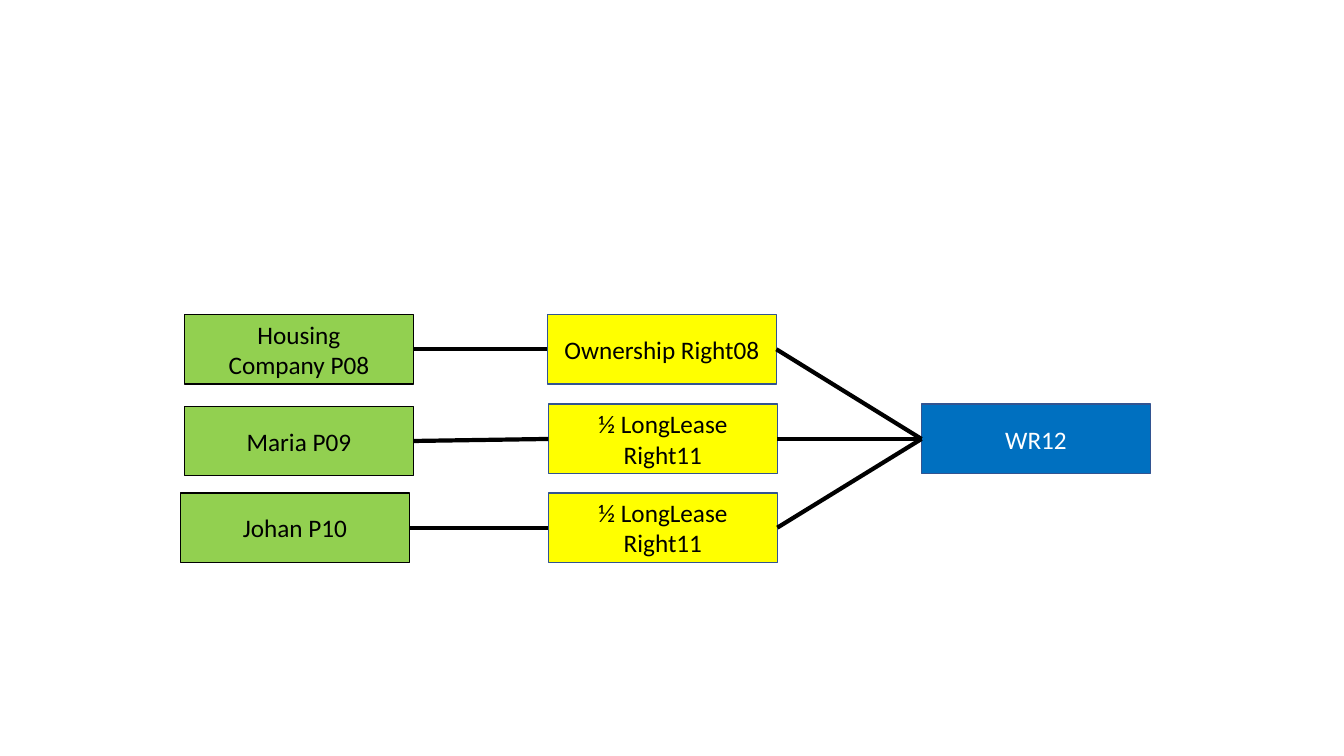
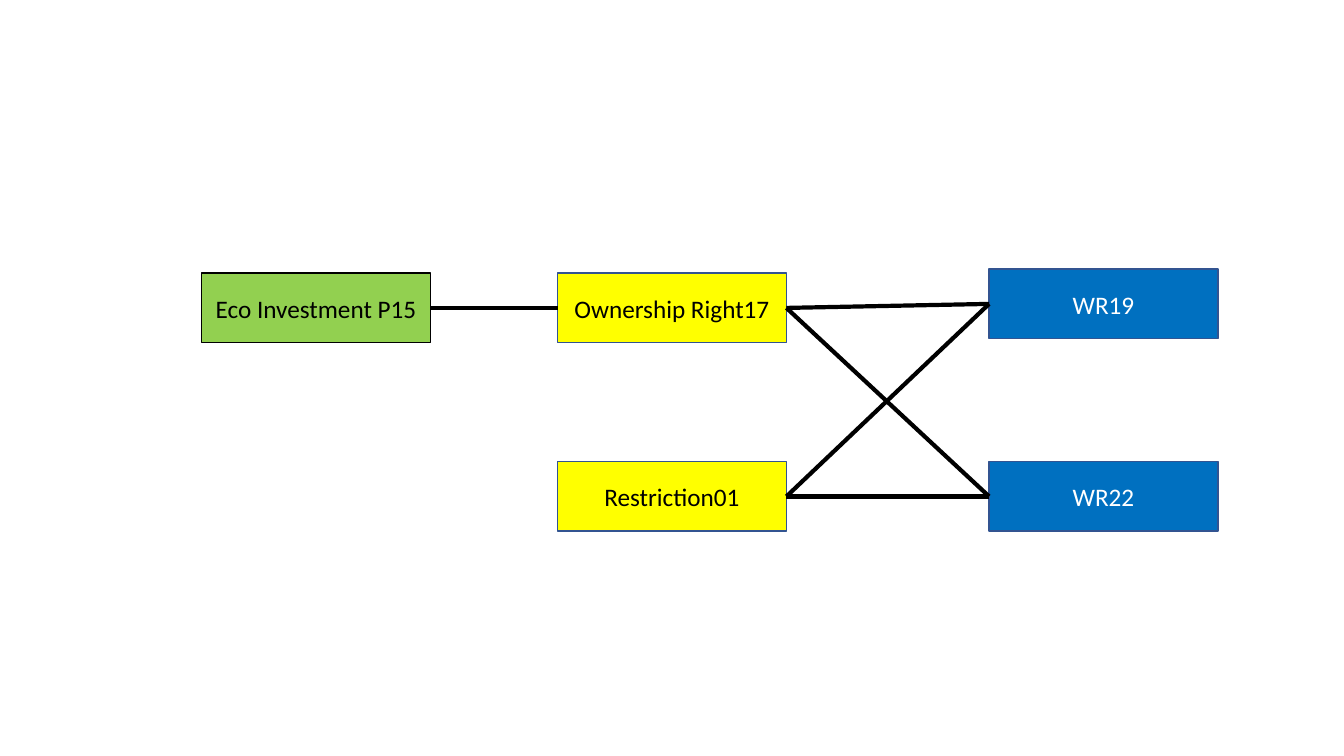
from dataclasses import dataclass

from pptx import Presentation
from pptx.dml.color import RGBColor
from pptx.enum.shapes import MSO_CONNECTOR, MSO_SHAPE
from pptx.enum.text import MSO_ANCHOR, PP_ALIGN
from pptx.oxml.ns import qn
from pptx.util import Inches, Pt


@dataclass(frozen=True)
class BoxStyle:
    """Colours of one kind of box."""
    fill: str
    line: str
    text: str


@dataclass(frozen=True)
class Theme:
    """Colours, type and sizes shared by both slides."""
    party = BoxStyle("92D050", "000000", "000000")
    right = BoxStyle("FFFF00", "325491", "000000")
    water = BoxStyle("0070C0", "325491", "FFFFFF")
    link: str = "000000"
    font: str = "Calibri"
    text_size: int = 18
    box_line: int = 1
    link_line: int = 3
    box_width: float = 2.27
    box_height: float = 0.69


THEME = Theme()
LEFT_SITE, RIGHT_SITE = 1, 3

# Each box: name, style, left, top, label. Each link: from name, to name.
DIAGRAMS = [
    {
        "boxes": [
            ("company", THEME.party, 1.83, 3.12, "Housing\nCompany P08"),
            ("maria", THEME.party, 1.83, 4.03, "Maria P09"),
            ("johan", THEME.party, 1.79, 4.89, "Johan P10"),
            ("ownership", THEME.right, 5.43, 3.12, "Ownership Right08"),
            ("maria lease", THEME.right, 5.44, 4.01, "½ LongLease Right11"),
            ("johan lease", THEME.right, 5.44, 4.89, "½ LongLease Right11"),
            ("WR12", THEME.water, 9.14, 4.01, "WR12"),
        ],
        "links": [
            ("company", "ownership"),
            ("maria", "maria lease"),
            ("johan", "johan lease"),
            ("ownership", "WR12"),
            ("maria lease", "WR12"),
            ("johan lease", "WR12"),
        ],
    },
    {
        "boxes": [
            ("investor", THEME.party, 2, 2.71, "Eco Investment P15"),
            ("ownership", THEME.right, 5.53, 2.71, "Ownership Right17"),
            ("restriction", THEME.right, 5.53, 4.58, "Restriction01"),
            ("WR19", THEME.water, 9.81, 2.67, "WR19"),
            ("WR22", THEME.water, 9.81, 4.58, "WR22"),
        ],
        "links": [
            ("investor", "ownership"),
            ("ownership", "WR19"),
            ("ownership", "WR22"),
            ("restriction", "WR19"),
            ("restriction", "WR22"),
        ],
    },
]


def add_box(page, style, left, top, label):
    """Add a labelled rectangle and return it."""
    box = page.shapes.add_shape(
        MSO_SHAPE.RECTANGLE, Inches(left), Inches(top),
        Inches(THEME.box_width), Inches(THEME.box_height))
    box.shadow.inherit = False
    box.fill.solid()
    box.fill.fore_color.rgb = RGBColor.from_string(style.fill)
    box.line.color.rgb = RGBColor.from_string(style.line)
    box.line.width = Pt(THEME.box_line)
    frame = box.text_frame
    frame.word_wrap = True
    frame.vertical_anchor = MSO_ANCHOR.MIDDLE
    frame.text = label
    for para in frame.paragraphs:
        para.alignment = PP_ALIGN.CENTER
        para.font.name = THEME.font
        para.font.size = Pt(THEME.text_size)
        para.font.color.rgb = RGBColor.from_string(style.text)
    return box


def add_link(page, start, end):
    """Join the right side of one box to the left side of another."""
    link = page.shapes.add_connector(MSO_CONNECTOR.STRAIGHT, 0, 0, 0, 0)
    link.begin_connect(start, RIGHT_SITE)
    link.end_connect(end, LEFT_SITE)
    link.line.color.rgb = RGBColor.from_string(THEME.link)
    link.line.width = Pt(THEME.link_line)
    properties = link._element.spPr
    properties.append(properties.makeelement(qn("a:effectLst"), {}))


deck = Presentation()
deck.slide_width = Inches(13.33)
deck.slide_height = Inches(7.5)
blank_layout = deck.slide_layouts[6]

for diagram in DIAGRAMS:
    page = deck.slides.add_slide(blank_layout)
    boxes = {}
    for name, style, left, top, label in diagram["boxes"]:
        boxes[name] = add_box(page, style, left, top, label)
    for start, end in diagram["links"]:
        add_link(page, boxes[start], boxes[end])

deck.save("out.pptx")
